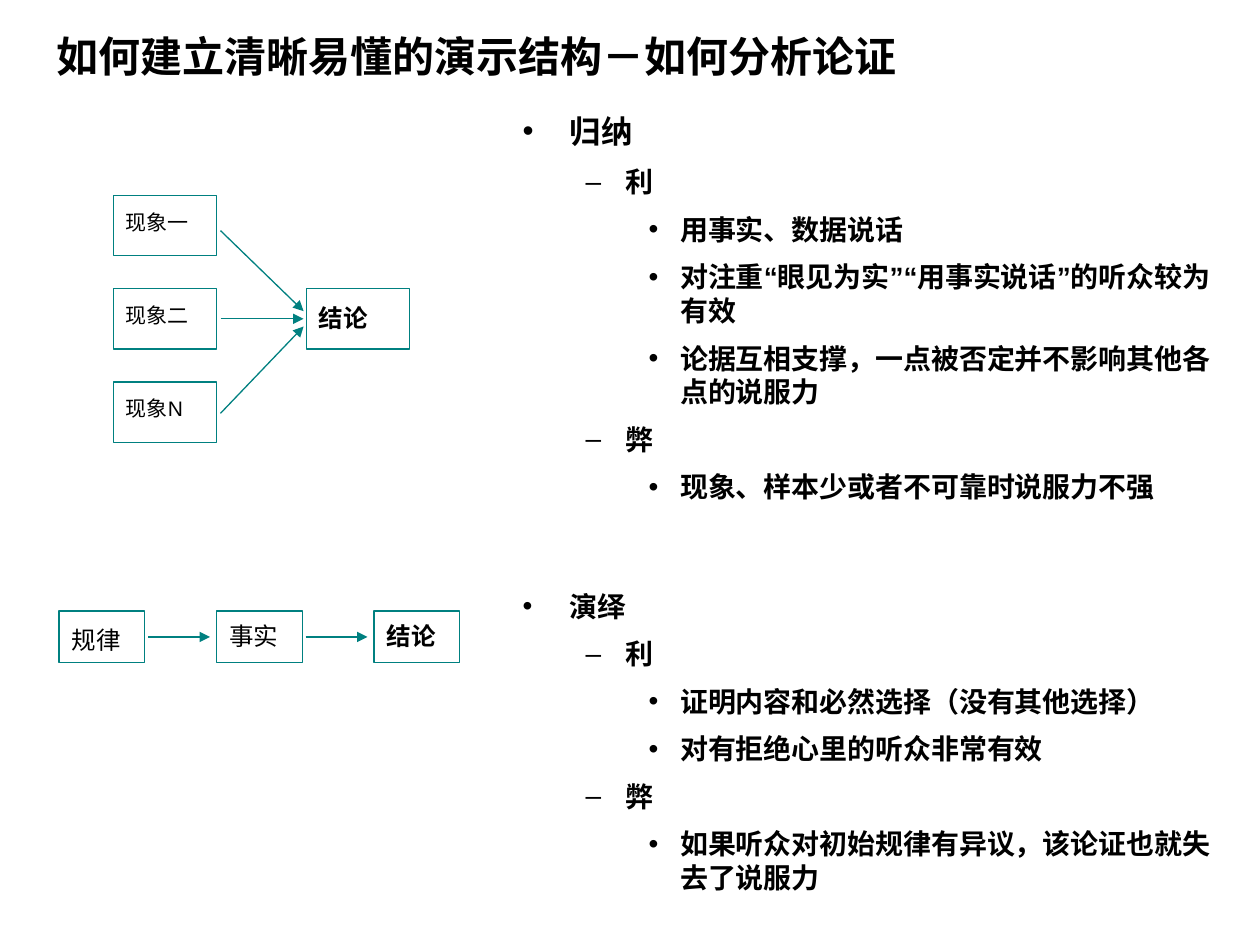
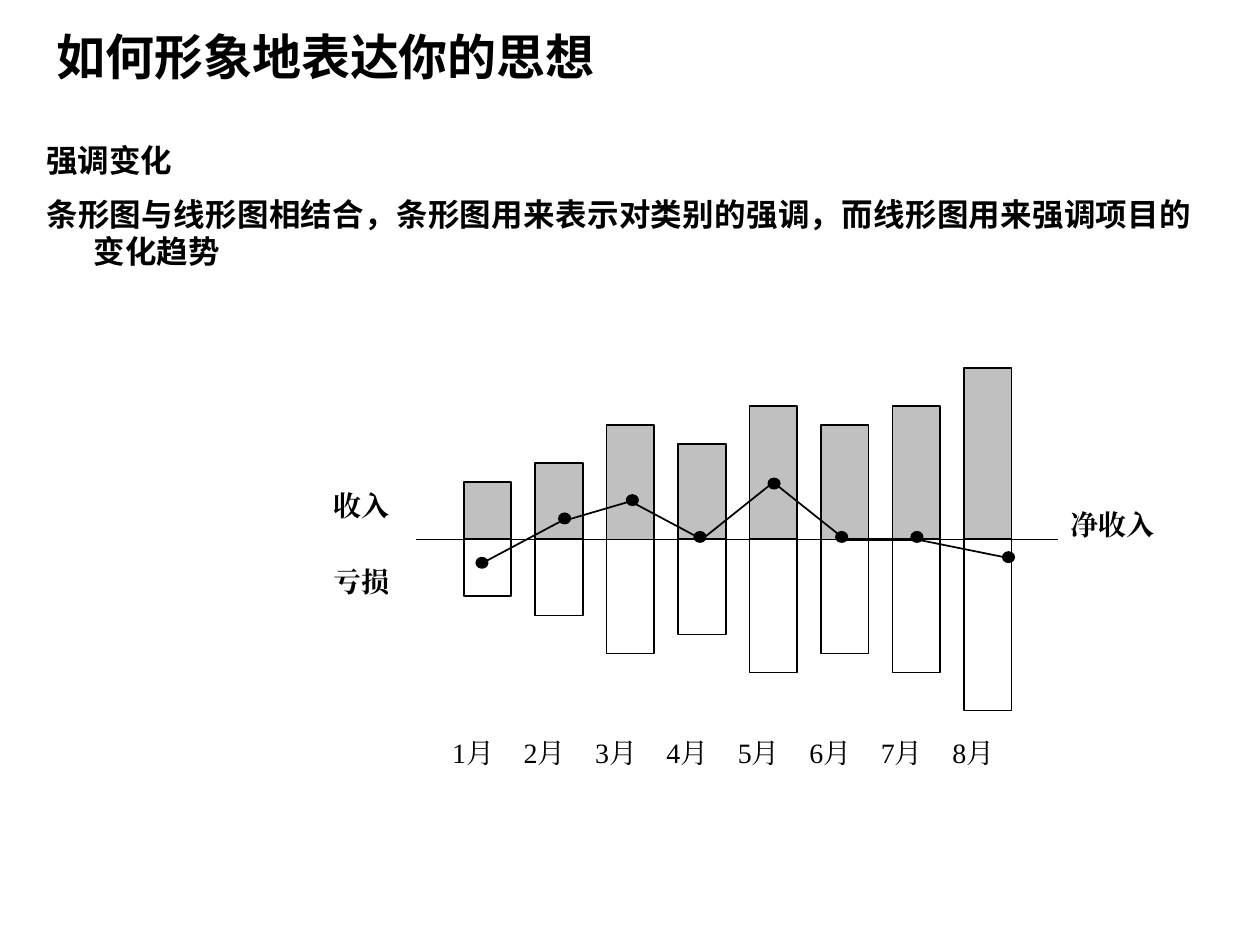
from dataclasses import dataclass

from lxml import etree
from pptx import Presentation
from pptx.dml.color import RGBColor
from pptx.enum.shapes import MSO_CONNECTOR, MSO_SHAPE
from pptx.enum.text import MSO_ANCHOR, PP_ALIGN
from pptx.oxml.ns import qn
from pptx.util import Pt

RECT, DOT = MSO_SHAPE.RECTANGLE, MSO_SHAPE.OVAL
LINE = MSO_CONNECTOR.STRAIGHT
TOP, MID = MSO_ANCHOR.TOP, MSO_ANCHOR.MIDDLE
LEFT, JUST = PP_ALIGN.LEFT, PP_ALIGN.JUSTIFY


@dataclass(frozen=True)
class Theme:
    ink: str = "000000"
    teal: str = "008080"
    gray: str = "C0C0C0"
    white: str = "FFFFFF"
    sans: str = "Arial"
    serif: str = "Times New Roman"
    head: int = 24
    large: int = 28
    lead: int = 18
    body: int = 16
    node: int = 14
    small: int = 12


T = Theme()
TITLE = (25.2, 9.4, 527.8, 45.4)

# Outline levels: left margin, hanging indent, bullet
LEVELS = [(27, -27, "•"), (58.5, -22.5, "–"), (90, -18, "•")]

# Outline rows: level, text, size, space before, space after
OUTLINE = [
    (0, "归纳", T.lead, 0, 4.5),
    (1, "利", T.body, 4, 4),
    (2, "用事实、数据说话", T.body, 4, 4),
    (2, "对注重“眼见为实”“用事实说话”的听众较为有效", T.body, 4, 4),
    (2, "论据互相支撑，一点被否定并不影响其他各点的说服力", T.body, 4, 4),
    (1, "弊", T.body, 4, 4),
    (2, "现象、样本少或者不可靠时说服力不强", T.body, 4, 4),
    (0, "演绎", T.body, 45, 4),
    (1, "利", T.body, 4, 4),
    (2, "证明内容和必然选择（没有其他选择）", T.body, 4, 4),
    (2, "对有拒绝心里的听众非常有效", T.body, 4, 4),
    (1, "弊", T.body, 4, 4),
    (2, "如果听众对初始规律有异议，该论证也就失去了说服力", T.body, 4, 4),
]

# Monthly bar sizes and net income, in units; dot offsets in points
BARS = [3, 4, 6, 5, 7, 6, 7, 9]
NET = [-1.1, 0.9, 2, 0, 3, 0, 0, -1]
NUDGE = [(-3.2, 1.4), (3.2, -2.2), (1.1, -0.7), (-1.1, -1.4),
         (0.4, 0.7), (-1.8, -1.4), (0.4, -1.4), (-1.1, -0.7)]


def apply(item, **values):
    for name, value in values.items():
        setattr(item, name, value)


def rgb(color):
    return RGBColor.from_string(color)


def write(par, text, size, bold=False, face=T.sans):
    run = par.add_run()
    run.text = text
    apply(run.font, size=Pt(size), bold=bold, name=face)
    run.font.color.rgb = rgb(T.ink)
    etree.SubElement(run._r.rPr, qn("a:ea"), typeface=face)


def frame(shape, anchor=TOP, top=3.6):
    tf = shape.text_frame
    apply(tf, word_wrap=True, vertical_anchor=anchor, margin_left=Pt(7.2),
          margin_right=Pt(7.2), margin_top=Pt(top), margin_bottom=Pt(3.6))
    return tf


def area(slide, box, anchor=TOP):
    return frame(slide.shapes.add_textbox(*map(Pt, box)), anchor)


def label(slide, box, text, size, bold=False, face=T.sans, align=LEFT,
          anchor=TOP):
    par = area(slide, box, anchor).paragraphs[0]
    par.alignment = align
    write(par, text, size, bold, face)


def block(slide, box, fill, line, width=1.0, kind=RECT):
    shape = slide.shapes.add_shape(kind, *map(Pt, box))
    shape.shadow.inherit = False
    if fill:
        shape.fill.solid()
        shape.fill.fore_color.rgb = rgb(fill)
    else:
        shape.fill.background()
    shape.line.color.rgb = rgb(line)
    shape.line.width = Pt(width)
    return shape


def rule(slide, start, end, color, width=1.0, arrow=False):
    link = slide.shapes.add_connector(LINE, *map(Pt, (*start, *end)))
    link.line.color.rgb = rgb(color)
    link.line.width = Pt(width)
    if arrow:
        etree.SubElement(link.line._ln, qn("a:tailEnd"), type="triangle")
    etree.SubElement(link._element.spPr, qn("a:effectLst"))


def node(slide, box, text, size, bold, top):
    shape = block(slide, box, None, T.teal, 0.75)
    par = frame(shape, TOP, top).paragraphs[0]
    par.alignment = LEFT
    write(par, text, size, bold)


def bullet(par, mark):
    props = par._p.get_or_add_pPr()
    color = etree.SubElement(props, qn("a:buClr"))
    etree.SubElement(color, qn("a:srgbClr"), val=T.ink)
    etree.SubElement(props, qn("a:buFont"), typeface=T.sans)
    etree.SubElement(props, qn("a:buChar"), char=mark)


def indent(par, left, hang):
    props = par._p.get_or_add_pPr()
    props.set("marL", str(Pt(left)))
    props.set("indent", str(Pt(hang)))


def outline(slide, box):
    tf = area(slide, box)
    for i, (level, text, size, before, after) in enumerate(OUTLINE):
        par = tf.add_paragraph() if i else tf.paragraphs[0]
        left, hang, mark = LEVELS[level]
        apply(par, level=level, space_before=Pt(before),
              space_after=Pt(after))
        indent(par, left, hang)
        bullet(par, mark)
        write(par, text, size, True)


def fan(slide, box):
    """Three cases that lead to one conclusion."""
    x, y, w, h = box
    wide, high = 59, 34.6
    step = (h - high) / 2
    for i, text in enumerate(["现象一", "现象二", "现象N"]):
        node(slide, (x, y + i * step, wide, high), text, T.small, False, 8)
    node(slide, (x + w - wide, y + step, wide, high), "结论", T.node, True, 8)
    for start, end in [(20.2, 66.2), (70.6, 70.6), (124.6, 75)]:
        rule(slide, (x + 61.2, y + start), (x + 108.7, y + end),
             T.teal, 0.75, True)


def chain(slide, box):
    """Rule, fact and conclusion in a row."""
    x, y, w, h = box
    wide = 49
    step = (w - wide) / 2
    for i, text in enumerate(["规律", "事实", "结论"]):
        left = x + i * step
        node(slide, (left, y, wide, h), text, T.node, i == 2,
             5.8 if i else 7.9)
        if i < 2:
            rule(slide, (left + 50.8, y + h / 2), (left + 86.2, y + h / 2),
                 T.teal, 0.75, True)


def prose(slide, box):
    tf = area(slide, box)
    lines = ["强调变化",
             "条形图与线形图相结合，条形图用来表示对类别的强调，"
             "而线形图用来强调项目的变化趋势"]
    for i, text in enumerate(lines):
        par = tf.add_paragraph() if i else tf.paragraphs[0]
        apply(par, alignment=JUST, space_before=Pt(4.5 if i else 0),
              space_after=Pt(4.5))
        indent(par, 27, -27)
        write(par, text, T.lead, True)


def trend(slide, box):
    """Mirrored monthly bars with the net income line drawn over them."""
    x, y, w, h = box
    unit, step, wide = 10.87, 40.83, 27.2
    base = y + 9 * unit
    first = x + 81.4
    rule(slide, (x + 54, base), (x + 421.2, base), T.ink)

    # Bars and month names
    for i, size in enumerate(BARS):
        left, high = first + i * step, size * unit
        block(slide, (left, base - high, wide, high), T.gray, T.ink)
        block(slide, (left, base, wide, high), T.white, T.ink)
        label(slide, (left - 13.7, y + h - 43.2, 54.7, 43.2), f"{i + 1}月",
              T.body, False, T.serif, JUST)

    # Side labels
    for text, left, top, width in [("收入", 0, 65.5, 54.7),
                                   ("亏损", 0, 108.7, 54.7),
                                   ("净收入", 421.2, 76.3, 81.4)]:
        label(slide, (x + left, y + top, width, 32.4), text, T.body, True,
              T.serif, JUST)

    # Net income line; the last point sits near the edge of its bar
    spots = [(first + wide / 2 + i * step, base - net * unit)
             for i, net in enumerate(NET)]
    spots[-1] = (spots[-1][0] + 13, spots[-1][1])
    for start, end in zip(spots, spots[1:]):
        flat = start[1] == end[1]
        rule(slide, start, end, T.ink, 1.75 if flat else 1)
    for (px, py), (dx, dy) in zip(spots, NUDGE):
        block(slide, (px + dx - 3.25, py + dy - 2.9, 6.5, 5.8),
              T.ink, T.ink, 1, DOT)


def page(deck, title, size):
    slide = deck.slides.add_slide(deck.slide_layouts[6])
    label(slide, TITLE, title, size, True, anchor=MID)
    return slide


def main():
    deck = Presentation()
    apply(deck, slide_width=Pt(720), slide_height=Pt(540))

    # Slide 1: two ways to argue
    slide = page(deck, "如何建立清晰易懂的演示结构－如何分析论证", T.head)
    outline(slide, (291.6, 60.5, 414, 447.8))
    fan(slide, (64.8, 111.6, 169.2, 141.2))
    chain(slide, (33.8, 349.2, 229, 29.5))

    # Slide 2: bars combined with a line
    slide = page(deck, "如何形象地表达你的思想", T.large)
    prose(slide, (19.4, 77, 668.9, 414))
    trend(slide, (183.6, 210.4, 502.6, 249.7))

    deck.save("out.pptx")


if __name__ == "__main__":
    main()
